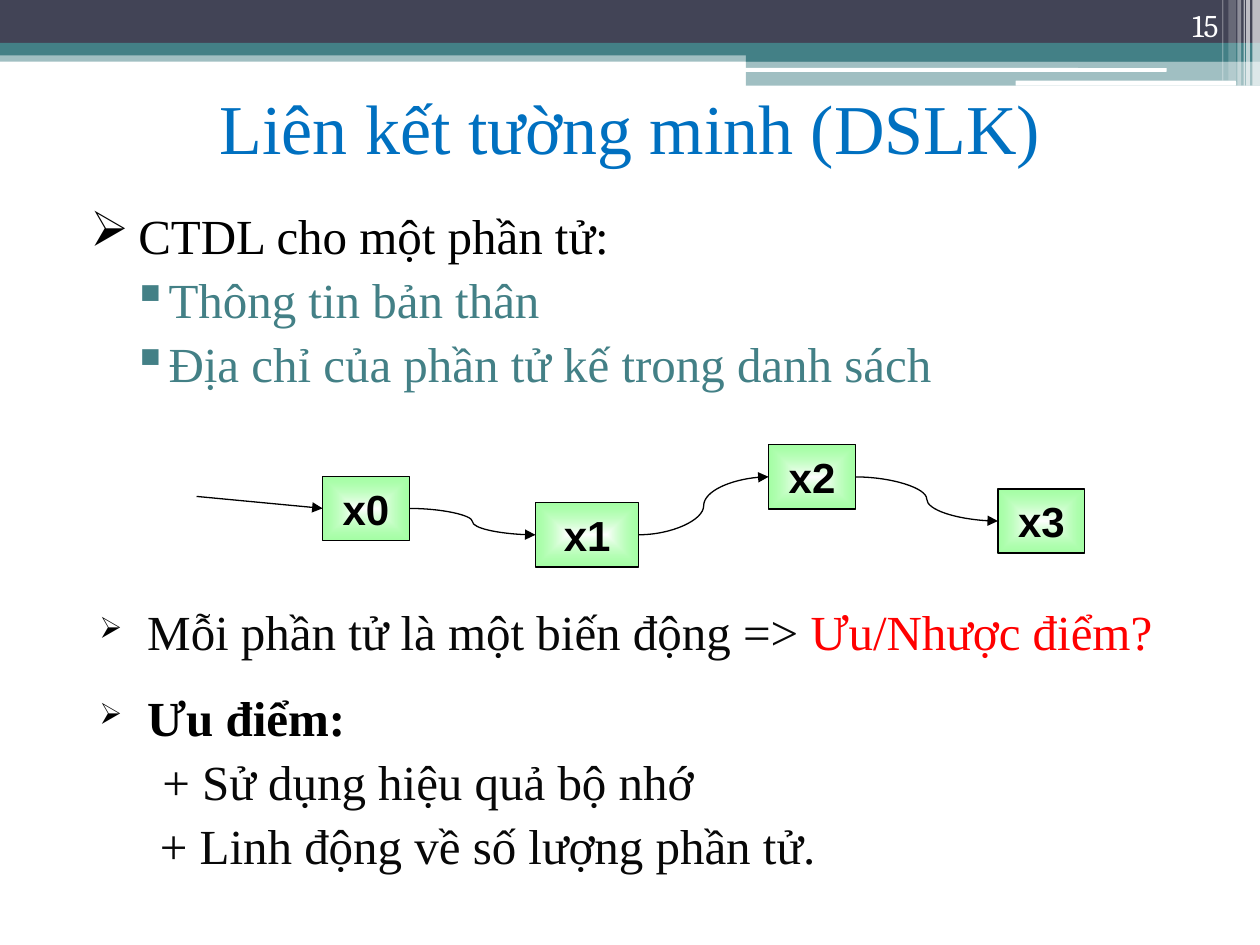
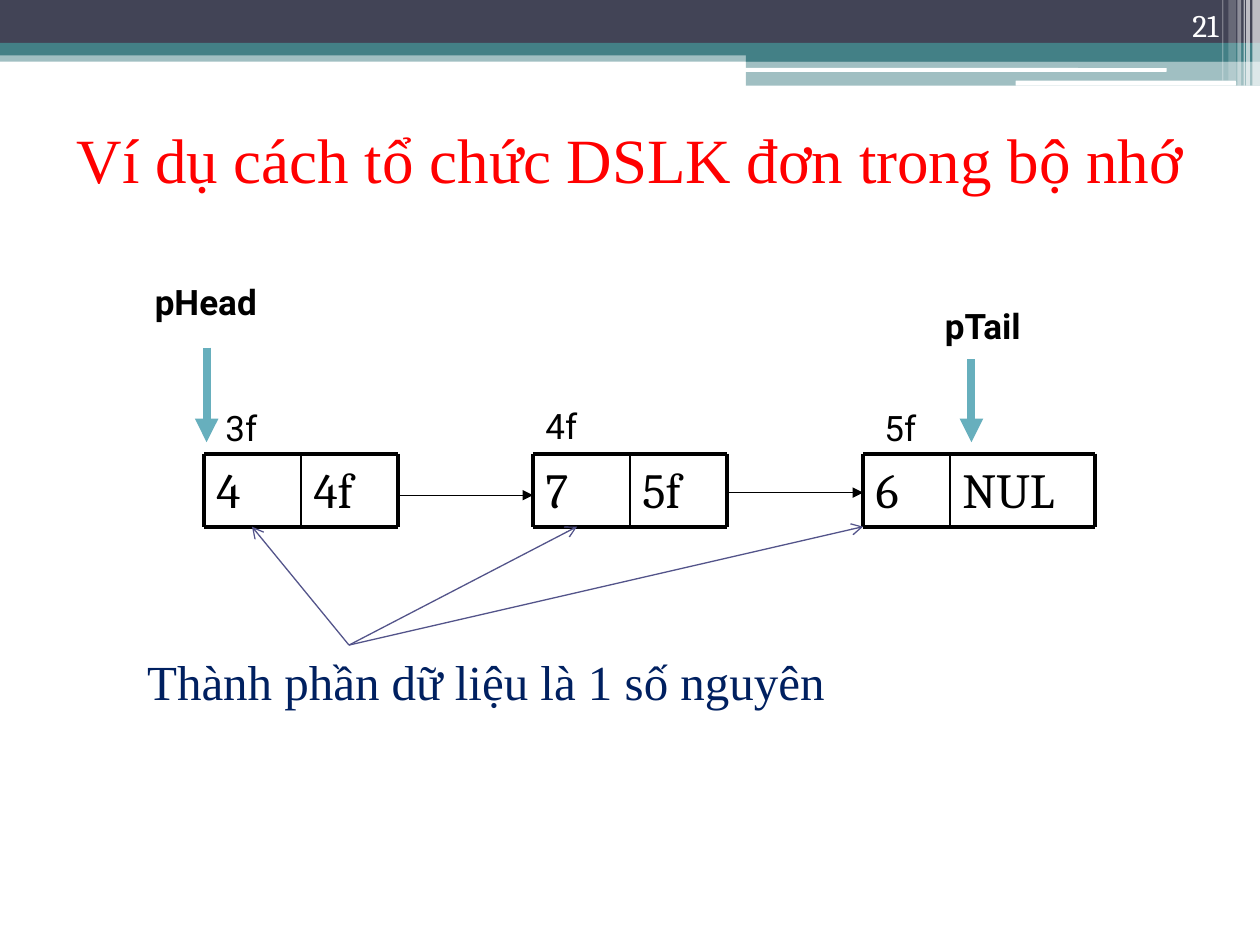
from dataclasses import dataclass

from lxml import etree
from pptx import Presentation
from pptx.dml.color import RGBColor
from pptx.enum.shapes import MSO_CONNECTOR, MSO_SHAPE
from pptx.enum.text import MSO_ANCHOR, PP_ALIGN
from pptx.oxml import parse_xml
from pptx.oxml.ns import nsdecls, qn
from pptx.util import Inches, Pt

STRAIGHT, CURVE = MSO_CONNECTOR.STRAIGHT, MSO_CONNECTOR.CURVE
RECTANGLE, ROUNDED = MSO_SHAPE.RECTANGLE, MSO_SHAPE.ROUNDED_RECTANGLE
LEFT, CENTER, RIGHT, JUSTIFY = PP_ALIGN.LEFT, PP_ALIGN.CENTER, PP_ALIGN.RIGHT, PP_ALIGN.JUSTIFY
TOP, MIDDLE, BOTTOM = MSO_ANCHOR.TOP, MSO_ANCHOR.MIDDLE, MSO_ANCHOR.BOTTOM
LEFT_SIDE, RIGHT_SIDE = 1, 3


@dataclass(frozen=True)
class Theme:
    black: str = "000000"
    white: str = "FFFFFF"
    ink: str = "080808"
    slate: str = "424456"
    teal: str = "438086"
    blue: str = "0070C0"
    navy: str = "002060"
    red: str = "FF0000"
    green: str = "69FF69"
    pointer: str = "67AFBD"
    violet: str = "53548A"
    serif: str = "Times New Roman"
    digits: str = "Cambria"
    label: str = "Roboto"
    node: str = "Arial"
    large_title: int = 40
    title: int = 36
    body: int = 28
    node_size: int = 24
    label_size: int = 20
    number: int = 18
    thin: float = 0.75
    divider: float = 1
    border: float = 2.25
    thick: float = 4.5


THEME = Theme()

BANDS = [
    (RECTANGLE, (0, 0.4, 10, 0.09), THEME.teal, 50),
    (RECTANGLE, (0, 0, 10, 0.34), THEME.slate, 100),
    (RECTANGLE, (0, 0.34, 10, 0.1), THEME.teal, 100),
    (RECTANGLE, (5.92, 0.39, 4.08, 0.1), THEME.teal, 100),
    (RECTANGLE, (5.92, 0.48, 4.08, 0.2), THEME.teal, 50),
    (ROUNDED, (5.91, 0.54, 3.35, 0.03), THEME.white, 100),
    (ROUNDED, (8.06, 0.64, 1.75, 0.04), THEME.white, 100),
]
STRIPES = [
    (9.94, 0.06, 0.68, 65), (9.89, 0.03, 0.68, 65), (9.87, 0.01, 0.68, 60),
    (9.82, 0.03, 0.68, 40), (9.75, 0.06, 0.64, 20), (9.7, 0.01, 0.64, 30),
]
BANDS += [(RECTANGLE, (left, 0, width, height), THEME.white, opacity)
          for left, width, height, opacity in STRIPES]

SUB_BULLET = dict(color=THEME.teal, align=JUSTIFY, margin=0.72, indent=-0.27, before=3, bullet="▪")
ELEMENT_BOX = (0.5, 1.58, 8.46, 1.83)
ELEMENT_LINES = [
    ([("CTDL cho một phần tử:", {})],
     dict(align=JUSTIFY, margin=0.5, indent=-0.38, bullet="➢")),
    ([("Thông tin bản thân", {})], SUB_BULLET),
    ([("Địa chỉ của phần tử kế trong danh sách", {})], SUB_BULLET),
]

ARROW_BULLET = dict(margin=0.38, indent=-0.38, spacing=0.9, bullet="➢", bullet_size=60)
PLUS_LINE = dict(color=THEME.ink, spacing=0.9, before=6.5)
BENEFIT_BOX = (0.69, 4.78, 9.31, 2.63)
BENEFIT_LINES = [
    ([("Mỗi phần tử là một biến động => ", dict(color=THEME.ink)),
      ("Ưu/Nhược điểm?", dict(color=THEME.red))], ARROW_BULLET),
    ([("Ưu điểm:", dict(bold=True))], dict(ARROW_BULLET, before=18.5)),
    ([("+ Sử dụng hiệu quả bộ nhớ", {})], dict(PLUS_LINE, margin=0.5)),
    ([("+ Linh động về số lượng phần tử.", {})], dict(PLUS_LINE, margin=0.48)),
]

CHAIN_HEIGHT = 0.51
CHAIN = [("x0", 2.56, 3.78, 0.69), ("x1", 4.25, 3.99, 0.82),
         ("x2", 6.1, 3.53, 0.69), ("x3", 7.92, 3.88, 0.69)]
ENTRY = (1.56, 3.94)

CELL_TOP, CELL_BOTTOM = 3.6, 4.18
MEMORY_NODES = [
    ("4", "4f", (1.62, 2.39, 3.16)),
    ("7", "5f", (4.23, 5, 5.77)),
    ("6", "NUL", (6.85, 7.54, 8.69)),
]
LABELS = [
    ("3f", (1.69, 3.18, 0.69, 0.43), False),
    ("4f", (4.23, 3.16, 0.69, 0.43), False),
    ("5f", (6.92, 3.18, 0.69, 0.43), False),
    ("pHead", (1.13, 2.18, 1.45, 0.44), True),
    ("pTail", (7.4, 2.37, 1.08, 0.43), True),
]
NEXT_ARROWS = [((3.16, 3.93), (4.23, 3.93)), ((5.77, 3.91), (6.85, 3.91))]
POINTERS = [((1.64, 2.76), (1.64, 3.51)), ((7.71, 2.85), (7.71, 3.51))]
DATA_NOTE = "Thành phần dữ liệu là 1 số nguyên"
DATA_START = (2.77, 5.12)
DATA_TARGETS = [2, 4.58, 6.85]


def inches(values):
    return [Inches(value) for value in values]


def write(paragraph, text, size=THEME.body, font=THEME.serif, color=THEME.black, bold=False):
    run = paragraph.add_run()
    run.text = text
    run.font.size = Pt(size)
    run.font.name = font
    run.font.bold = bold
    run.font.color.rgb = RGBColor.from_string(color)


def set_layout(paragraph, color=THEME.black, align=LEFT, margin=0, indent=0,
               before=0, spacing=1, bullet=None, bullet_size=100):
    paragraph.alignment = align
    paragraph.space_before = Pt(before)
    paragraph.line_spacing = spacing
    properties = paragraph._p.get_or_add_pPr()
    properties.set("marL", str(Inches(margin)))
    properties.set("indent", str(Inches(indent)))
    if bullet:
        bullet_color = etree.SubElement(properties, qn("a:buClr"))
        etree.SubElement(bullet_color, qn("a:srgbClr"), val=color)
        etree.SubElement(properties, qn("a:buSzPct"), val=str(bullet_size * 1000))
        etree.SubElement(properties, qn("a:buChar"), char=bullet)


def add_text(slide, text, box, anchor=TOP, align=LEFT, **style):
    frame = slide.shapes.add_textbox(*inches(box)).text_frame
    frame.word_wrap = True
    frame.vertical_anchor = anchor
    paragraph = frame.paragraphs[0]
    paragraph.alignment = align
    write(paragraph, text, **style)


def add_list(slide, lines, box):
    frame = slide.shapes.add_textbox(*inches(box)).text_frame
    frame.word_wrap = True
    for index, (runs, layout) in enumerate(lines):
        paragraph = frame.add_paragraph() if index else frame.paragraphs[0]
        set_layout(paragraph, **layout)
        color = layout.get("color", THEME.black)
        for text, style in runs:
            write(paragraph, text, **{"color": color, **style})


def add_line(slide, start, end, color=THEME.black, width=THEME.thin, head=None,
             kind=STRAIGHT, source=None, target=None):
    connector = slide.shapes.add_connector(kind, *inches(start + end))
    connector.line.color.rgb = RGBColor.from_string(color)
    connector.line.width = Pt(width)
    properties = connector.element.spPr
    if head:
        etree.SubElement(properties.find(qn("a:ln")), qn("a:tailEnd"), type=head)
    etree.SubElement(properties, qn("a:effectLst"))
    if source is not None:
        connector.begin_connect(source, RIGHT_SIDE)
    if target is not None:
        connector.end_connect(target, LEFT_SIDE)


def add_band(slide, kind, box, color, opacity):
    shape = slide.shapes.add_shape(kind, *inches(box))
    shape.shadow.inherit = False
    shape.line.fill.background()
    shape.fill.solid()
    shape.fill.fore_color.rgb = RGBColor.from_string(color)
    if opacity < 100:
        fill_color = shape.element.spPr.find(qn("a:solidFill"))[0]
        etree.SubElement(fill_color, qn("a:alpha"), val=str(opacity * 1000))


def add_chain_node(slide, text, left, top, width):
    shape = slide.shapes.add_shape(RECTANGLE, *inches((left, top, width, CHAIN_HEIGHT)))
    shape.shadow.inherit = False
    shape.line.color.rgb = RGBColor.from_string(THEME.black)
    shape.line.width = Pt(THEME.thin)
    shape.fill.background()
    properties = shape.element.spPr
    glow = parse_xml(
        f'<a:gradFill {nsdecls("a")} rotWithShape="1"><a:gsLst>'
        f'<a:gs pos="0"><a:srgbClr val="{THEME.white}"/></a:gs>'
        f'<a:gs pos="100000"><a:srgbClr val="{THEME.green}"><a:alpha val="60000"/></a:srgbClr></a:gs>'
        '</a:gsLst><a:path path="shape"><a:fillToRect l="50000" t="50000" r="50000" b="50000"/>'
        '</a:path></a:gradFill>')
    properties.replace(properties.find(qn("a:noFill")), glow)
    paragraph = shape.text_frame.paragraphs[0]
    paragraph.alignment = CENTER
    write(paragraph, text, size=THEME.node_size, font=THEME.node, bold=True)
    return shape


def add_memory_node(slide, value, address, edges):
    left, middle, right = edges
    height = CELL_BOTTOM - CELL_TOP
    for text, start, end in ((value, left, middle), (address, middle, right)):
        add_text(slide, text, (start, CELL_TOP, end - start, height), font=THEME.digits)
    for y in (CELL_TOP, CELL_BOTTOM):
        add_line(slide, (left, y), (right, y), width=THEME.border)
    for x in edges:
        width = THEME.divider if x == middle else THEME.border
        add_line(slide, (x, CELL_TOP), (x, CELL_BOTTOM), width=width)


def start_slide(presentation, title, title_top, size, color, number):
    slide = presentation.slides.add_slide(presentation.slide_layouts[6])
    for band in BANDS:
        add_band(slide, *band)
    add_text(slide, title, (0.5, title_top, 9, 1.17), anchor=MIDDLE, align=CENTER,
             size=size, color=color)
    add_text(slide, number, (8.94, 0, 0.83, 0.4), anchor=BOTTOM, align=RIGHT,
             size=THEME.number, font=THEME.digits, color=THEME.white)
    return slide


def build_linking_slide(presentation):
    slide = start_slide(presentation, "Liên kết tường minh (DSLK)", 0.42,
                        THEME.large_title, THEME.blue, "15")
    add_list(slide, ELEMENT_LINES, ELEMENT_BOX)
    nodes = [add_chain_node(slide, *node) for node in CHAIN]
    add_line(slide, ENTRY, ENTRY, head="triangle", target=nodes[0])
    for source, target in zip(nodes, nodes[1:]):
        add_line(slide, ENTRY, ENTRY, head="triangle", kind=CURVE, source=source, target=target)
    add_list(slide, BENEFIT_LINES, BENEFIT_BOX)


def build_memory_slide(presentation):
    slide = start_slide(presentation, "Ví dụ cách tổ chức DSLK đơn trong bộ nhớ", 0.67,
                        THEME.title, THEME.red, "21")
    for node in MEMORY_NODES:
        add_memory_node(slide, *node)
    for text, box, bold in LABELS:
        add_text(slide, text, box, size=THEME.label_size, font=THEME.label, bold=bold)
    for start, end in NEXT_ARROWS:
        add_line(slide, start, end, head="triangle")
    for start, end in POINTERS:
        add_line(slide, start, end, color=THEME.pointer, width=THEME.thick, head="triangle")
    add_text(slide, DATA_NOTE, (1.07, 5.12, 5.78, 0.57), color=THEME.navy)
    for x in DATA_TARGETS:
        add_line(slide, DATA_START, (x, CELL_BOTTOM), color=THEME.violet, head="arrow")


def main():
    presentation = Presentation()
    presentation.slide_width = Inches(10)
    presentation.slide_height = Inches(7.5)
    build_linking_slide(presentation)
    build_memory_slide(presentation)
    presentation.save("out.pptx")


if __name__ == "__main__":
    main()
